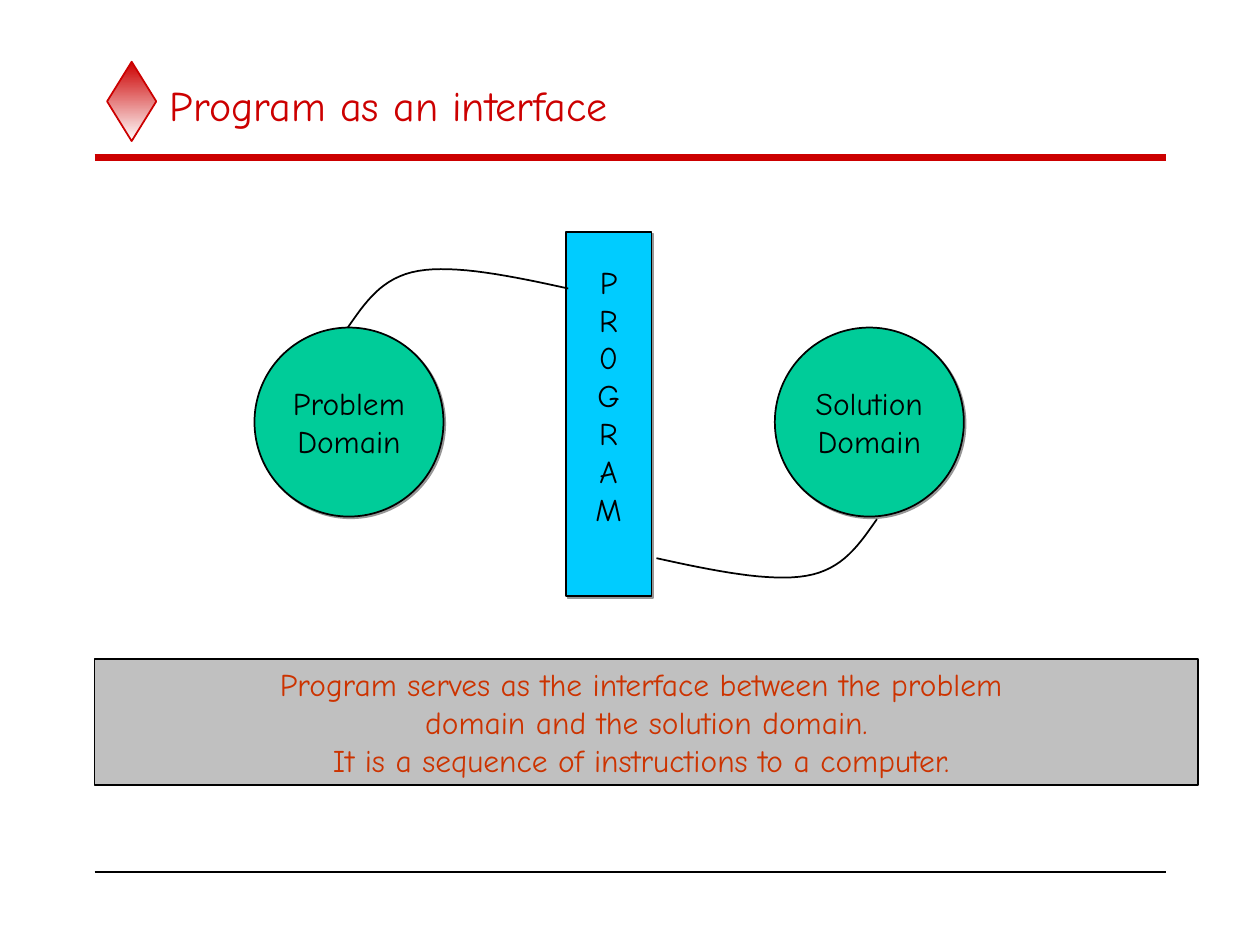
from lxml import etree
from pptx import Presentation
from pptx.dml.color import RGBColor
from pptx.enum.shapes import MSO_CONNECTOR, MSO_SHAPE
from pptx.enum.text import MSO_ANCHOR, PP_ALIGN
from pptx.oxml.ns import qn
from pptx.util import Inches, Pt

STRAIGHT = MSO_CONNECTOR.STRAIGHT
DIAMOND, OVAL, RECT = MSO_SHAPE.DIAMOND, MSO_SHAPE.OVAL, MSO_SHAPE.RECTANGLE
MIDDLE, TOP = MSO_ANCHOR.MIDDLE, MSO_ANCHOR.TOP
CENTER, LEFT = PP_ALIGN.CENTER, PP_ALIGN.LEFT

RED = RGBColor(0xCC, 0x00, 0x00)
ORANGE = RGBColor(0xCC, 0x33, 0x00)
GREEN = RGBColor(0x00, 0xCC, 0x99)
CYAN = RGBColor(0x00, 0xCC, 0xFF)
GRAY = RGBColor(0xC0, 0xC0, 0xC0)
SHADOW = RGBColor(0x96, 0x96, 0x96)
BLACK = RGBColor(0x00, 0x00, 0x00)
WHITE = RGBColor(0xFF, 0xFF, 0xFF)
FONT = "Comic Neue"

# Two cubic segments from the problem circle to the program box
CURVE = [
    [(2.76, 2.6), (2.9, 2.4), (3.03, 2.2), (3.32, 2.15)],
    [(3.32, 2.15), (3.61, 2.1), (4.06, 2.19), (4.51, 2.29)],
]
CURVE_STEPS = 16


def set_text(sp, lines, size=18, color=BLACK, align=CENTER, anchor=MIDDLE, wrap=False):
    tf = sp.text_frame
    tf.text = "\n".join(lines)
    tf.word_wrap = wrap
    tf.vertical_anchor = anchor
    for p in tf.paragraphs:
        p.alignment = align
        for r in p.runs:
            r.font.name = FONT
            r.font.size = Pt(size)
            r.font.color.rgb = color


def add_box(s, kind, left, top, width, height, fill=None, line=BLACK):
    sp = s.shapes.add_shape(kind, Inches(left), Inches(top), Inches(width), Inches(height))
    sp.shadow.inherit = False
    if fill is not None:
        sp.fill.solid()
        sp.fill.fore_color.rgb = fill
    sp.line.color.rgb = line
    sp.line.width = Pt(1)
    return sp


def add_shadow(sp):
    effects = sp._element.spPr.find(qn("a:effectLst"))
    shadow = etree.SubElement(effects, qn("a:outerShdw"), dist=str(Pt(1.4)),
                              dir="2700000", algn="ctr", rotWithShape="0")
    etree.SubElement(shadow, qn("a:srgbClr"), val=str(SHADOW))


def add_rule(s, y, color, width):
    line = s.shapes.add_connector(STRAIGHT, Inches(0.75), Inches(y), Inches(9.25), Inches(y))
    line.line.color.rgb = color
    line.line.width = Pt(width)
    etree.SubElement(line._element.spPr, qn("a:effectLst"))


def bezier(segment, t):
    weights = ((1 - t) ** 3, 3 * t * (1 - t) ** 2, 3 * t ** 2 * (1 - t), t ** 3)
    return tuple(sum(w * pt[axis] for w, pt in zip(weights, segment)) for axis in (0, 1))


def add_curve(s, points):
    points = [(Inches(x), Inches(y)) for x, y in points]
    builder = s.shapes.build_freeform(*points[0])
    builder.add_line_segments(points[1:], close=False)
    sp = builder.convert_to_shape()
    sp.shadow.inherit = False
    sp.fill.background()
    sp.line.color.rgb = BLACK
    sp.line.width = Pt(1)


def add_header(s):
    diamond = add_box(s, DIAMOND, 0.85, 0.49, 0.39, 0.63, line=RED)
    diamond.fill.gradient()
    diamond.fill.gradient_angle = 270
    for stop, color, position in zip(diamond.fill.gradient_stops, (RED, WHITE), (0, 1)):
        stop.color.rgb = color
        stop.position = position
    add_rule(s, 1.25, RED, 4)
    title = s.shapes.add_textbox(Inches(1.25), Inches(0.5), Inches(8), Inches(0.67))
    set_text(title, ["Program as an interface"], 24, RED, LEFT, wrap=True)


def add_diagram(s):
    # Domains
    for left, name in ((2.02, "Problem"), (6.15, "Solution")):
        circle = add_box(s, OVAL, left, 2.6, 1.5, 1.5, GREEN)
        add_shadow(circle)
        set_text(circle, [name, "Domain"])

    # Program, one letter a line, raised by a deeper bottom inset
    program = add_box(s, RECT, 4.49, 1.84, 0.68, 2.89, CYAN)
    add_shadow(program)
    set_text(program, "PR0GRAM")
    program.text_frame.margin_bottom = Inches(0.35)

    # Links: the second is the first turned by half a circle
    points = [CURVE[0][0]] + [bezier(segment, i / CURVE_STEPS)
                              for segment in CURVE for i in range(1, CURVE_STEPS + 1)]
    add_curve(s, points)
    add_curve(s, [(9.72 - x, 6.72 - y) for x, y in points])


def main():
    prs = Presentation()
    prs.slide_width, prs.slide_height = Inches(10), Inches(7.5)
    s = prs.slides.add_slide(prs.slide_layouts[6])

    add_header(s)
    add_rule(s, 6.92, BLACK, 1)
    add_diagram(s)

    # Summary
    summary = add_box(s, RECT, 0.75, 5.23, 8.76, 1, GRAY)
    set_text(summary, [
        "Program serves as the interface between the problem ",
        "domain and the solution domain.",
        "It is a sequence of instructions to a computer. ",
    ], color=ORANGE, anchor=TOP, wrap=True)

    prs.save("out.pptx")


if __name__ == "__main__":
    main()
